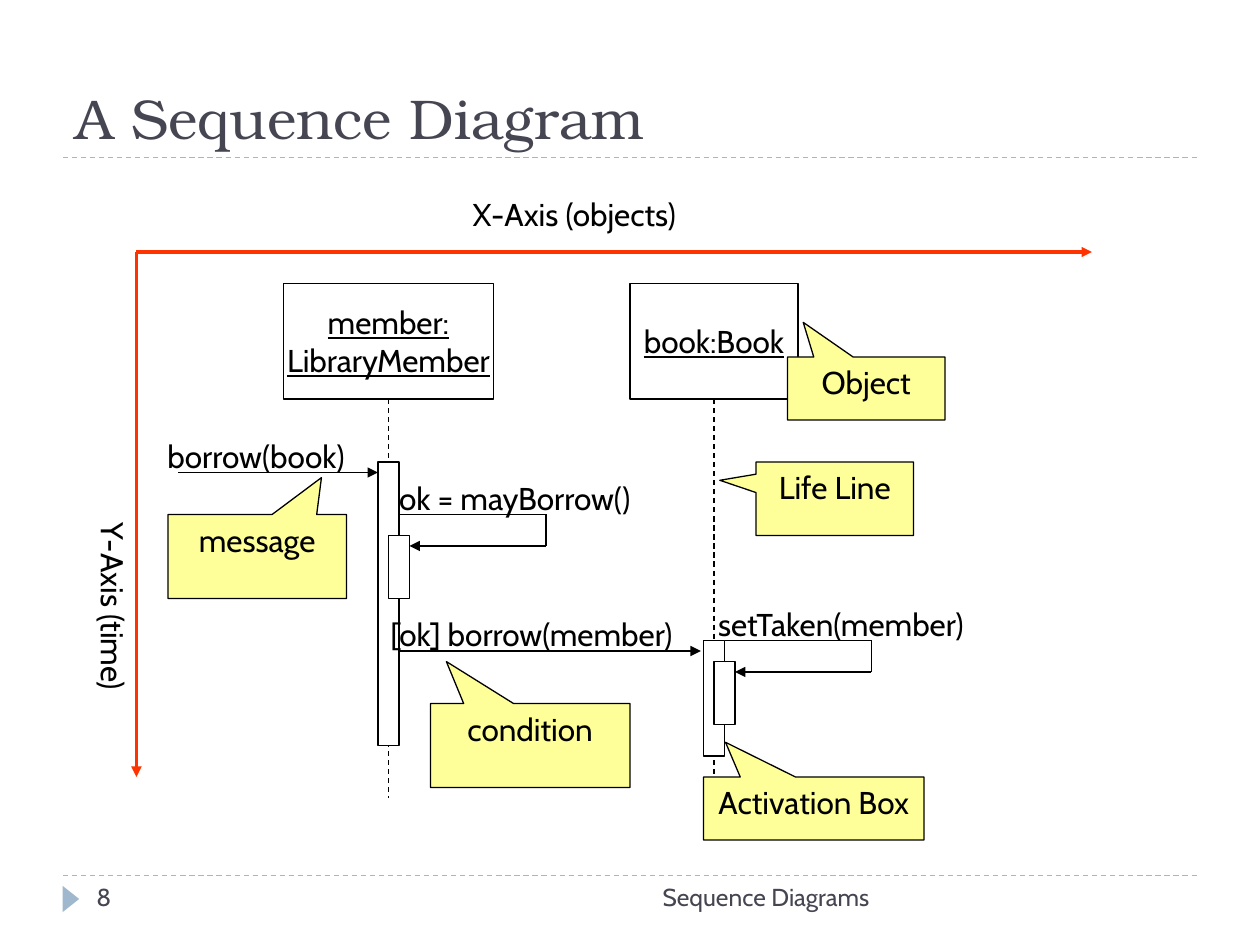
from lxml import etree
from pptx import Presentation
from pptx.dml.color import RGBColor
from pptx.enum.dml import MSO_LINE
from pptx.enum.shapes import MSO_CONNECTOR, MSO_SHAPE
from pptx.enum.text import MSO_ANCHOR, MSO_AUTO_SIZE, PP_ALIGN
from pptx.oxml.ns import qn
from pptx.util import Pt

BODY_FONT = "Cabin"
TITLE_FONT = "TeX Gyre Bonum"
BLACK = "000000"
WHITE = "FFFFFF"
SLATE = "464653"
STEEL = "9FB8CD"
YELLOW = "FFFF99"
RED = "FF3300"


def color(value):
    return RGBColor.from_string(value)


def set_font(paragraph, size=18, ink=BLACK, name=BODY_FONT):
    paragraph.font.name = name
    paragraph.font.size = Pt(size)
    paragraph.font.color.rgb = color(ink)


def add_line(slide, start, end, ink=BLACK, width=0.75, dashed=False, arrow=False):
    points = [Pt(value) for value in (*start, *end)]
    connector = slide.shapes.add_connector(MSO_CONNECTOR.STRAIGHT, *points)
    connector.line.color.rgb = color(ink)
    connector.line.width = Pt(width)
    if dashed:
        connector.line.dash_style = MSO_LINE.DASH
    if arrow:
        etree.SubElement(connector.line._get_or_add_ln(), qn("a:tailEnd"), type="triangle")
    etree.SubElement(connector._element.spPr, qn("a:effectLst"))


def add_shape(slide, kind, box, fill=None, line=BLACK):
    shape = slide.shapes.add_shape(kind, *[Pt(value) for value in box])
    shape.shadow.inherit = False
    if fill:
        shape.fill.solid()
        shape.fill.fore_color.rgb = color(fill)
    else:
        shape.fill.background()
    if line:
        shape.line.color.rgb = color(line)
        shape.line.width = Pt(0.75)
    else:
        shape.line.fill.background()
    return shape


def write_centered(shape, text, anchor, wrap):
    frame = shape.text_frame
    frame.word_wrap = wrap
    frame.vertical_anchor = anchor
    paragraph = frame.paragraphs[0]
    paragraph.text = text
    paragraph.alignment = PP_ALIGN.CENTER
    set_font(paragraph)
    return paragraph


def add_object(slide, text, left, width):
    shape = add_shape(slide, MSO_SHAPE.RECTANGLE, (left, 162, width, 66))
    paragraph = write_centered(shape, text, MSO_ANCHOR.MIDDLE, False)
    paragraph.font.underline = True
    middle = left + width / 2
    add_line(slide, (middle, 228), (middle, 456), dashed=True)


def add_activation(slide, left, top, height):
    add_shape(slide, MSO_SHAPE.RECTANGLE, (left, top, 12, height), WHITE)


def add_callout(slide, text, box, pointer):
    shape = add_shape(slide, MSO_SHAPE.RECTANGULAR_CALLOUT, box, YELLOW)
    shape.adjustments[0], shape.adjustments[1] = pointer
    write_centered(shape, text, MSO_ANCHOR.TOP, True)


def add_label(slide, text, box, vertical=False):
    label = slide.shapes.add_textbox(*[Pt(value) for value in box])
    frame = label.text_frame
    frame.word_wrap = False
    frame.auto_size = MSO_AUTO_SIZE.SHAPE_TO_FIT_TEXT
    if vertical:
        frame._txBody.bodyPr.set("vert", "eaVert")
        frame.margin_left = frame.margin_right = Pt(3.6)
        frame.margin_top = frame.margin_bottom = Pt(7.2)
    frame.text = text
    set_font(frame.paragraphs[0])


def add_self_call(slide, text, left, top, label_left, label_width):
    right, bottom = left + 84, top + 18
    add_line(slide, (left, top), (right, top))
    add_line(slide, (right, top), (right, bottom))
    add_line(slide, (right, bottom), (left + 6, bottom), arrow=True)
    add_activation(slide, left - 6, top + 12, 36)
    add_label(slide, text, (label_left, top - 24, label_width, 29))


def add_footer_text(slide, text, left, width, alignment):
    box = slide.shapes.add_textbox(Pt(left), Pt(500.4), Pt(width), Pt(28.8))
    box.text_frame.word_wrap = True
    paragraph = box.text_frame.paragraphs[0]
    paragraph.text = text
    paragraph.alignment = alignment
    set_font(paragraph, 14, SLATE)


def add_frame(slide):
    for y in (500.4, 90):
        add_line(slide, (36, y), (684, y), STEEL, dashed=True)
    marker = add_shape(slide, MSO_SHAPE.ISOSCELES_TRIANGLE, (33, 509, 15, 9.4), STEEL, None)
    marker.rotation = 90
    add_footer_text(slide, "Sequence Diagrams", 228, 276, PP_ALIGN.RIGHT)
    add_footer_text(slide, "8", 48, 156, PP_ALIGN.LEFT)


def set_title(slide, text):
    title = slide.shapes.title
    title.left, title.top, title.width, title.height = Pt(36), Pt(12), Pt(648), Pt(78)
    frame = title.text_frame
    frame.vertical_anchor = MSO_ANCHOR.BOTTOM
    frame.auto_size = MSO_AUTO_SIZE.NONE
    frame.text = text
    frame.paragraphs[0].alignment = PP_ALIGN.LEFT
    set_font(frame.paragraphs[0], 32, SLATE, TITLE_FONT)


def main():
    presentation = Presentation()
    presentation.slide_width, presentation.slide_height = Pt(720), Pt(540)
    slide = presentation.slides.add_slide(presentation.slide_layouts[5])
    add_frame(slide)
    set_title(slide, "A Sequence Diagram")

    add_object(slide, "member:\vLibraryMember", 162, 120)
    add_object(slide, "book:Book", 360, 96)

    add_line(slide, (102, 270), (216, 270), arrow=True)
    add_label(slide, "borrow(book)", (88.6, 246, 129.6, 29))
    add_activation(slide, 216, 264, 162)
    add_self_call(slide, "ok = mayBorrow()", 228, 294, 221, 163.4)
    add_line(slide, (228, 372), (400.5, 372), arrow=True)
    add_label(slide, "[ok] borrow(member)", (216, 348, 196.6, 29))
    add_activation(slide, 402, 366, 66)

    add_line(slide, (78, 144), (624, 144), RED, 1.75, arrow=True)
    add_line(slide, (78, 144), (78, 444), RED, 2, arrow=True)
    add_label(slide, "X-Axis (objects)", (263, 108, 141, 29))
    add_label(slide, "Y-Axis (time)", (43.2, 291.6, 36, 111.6), vertical=True)

    add_callout(slide, "Object", (450, 204, 90, 36), (-0.4, -1.05))
    add_callout(slide, "Life Line", (432, 264, 90, 42), (-0.73, -0.25))
    add_callout(slide, "message", (96, 294, 102, 48), (0.36, -0.94))
    add_callout(slide, "condition", (246, 402, 114, 48), (-0.42, -1))
    add_self_call(slide, "setTaken(member)", 414, 366, 403.2, 173.5)
    add_callout(slide, "Activation Box", (402, 444, 126, 36), (-0.4, -1.05))

    presentation.save("out.pptx")


if __name__ == "__main__":
    main()
